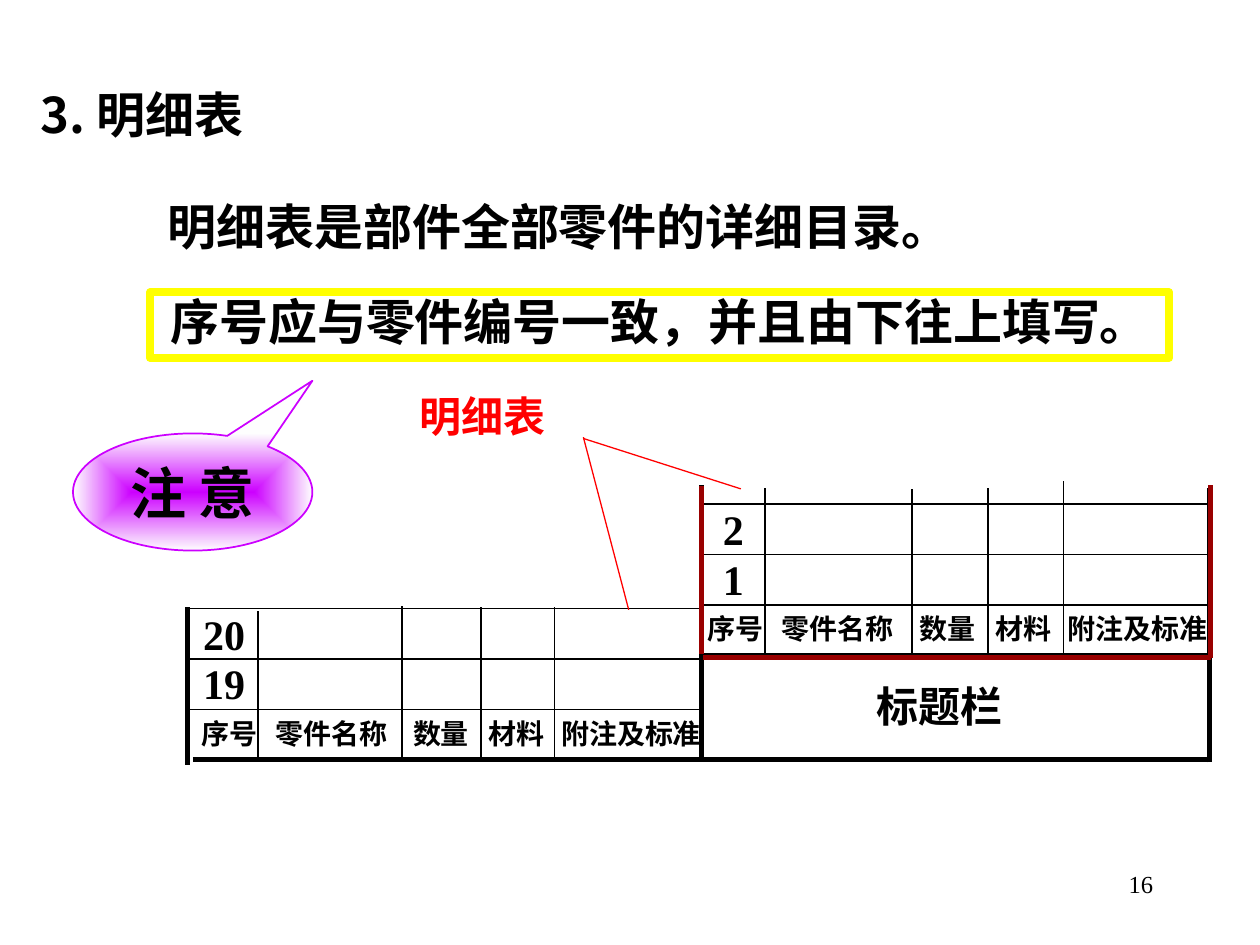
from dataclasses import dataclass

from lxml.etree import SubElement
from pptx import Presentation
from pptx.dml.color import RGBColor
from pptx.enum.shapes import MSO_CONNECTOR, MSO_SHAPE
from pptx.enum.text import MSO_ANCHOR, MSO_AUTO_SIZE, PP_ALIGN
from pptx.oxml import parse_xml
from pptx.oxml.ns import nsdecls, qn
from pptx.util import Inches, Pt

BLACK, RED, MAROON = "000000", "FF0000", "990000"
PURPLE, YELLOW, WHITE, PALE = "CC00FF", "FFFF00", "FFFFFF", "FEFEFE"
SERIF, CJK = "Times New Roman", "Noto Sans CJK SC"
THICK, THIN, HAIR = 3, 1, 0.75
ROW = 0.4
HEADINGS = (("序号", 0.27), ("零件名称", 1.08), ("数量", 1.95),
            ("材料", 2.55), ("附注及标准", 3.46))

Box = tuple[float, float, float, float]


@dataclass(frozen=True)
class Divider:
    x: float
    top: float


@dataclass(frozen=True)
class PartsList:
    """A parts list whose rows are numbered upwards from the heading row."""
    left: float
    right: float
    bottom: float
    heading_left: float
    dividers: tuple[Divider, ...]
    numbers: tuple[str, ...]


@dataclass(frozen=True)
class Rule:
    start: tuple[float, float]
    end: tuple[float, float]
    color: str = BLACK
    width: float = THICK


MAIN_LIST = PartsList(
    5.57, 9.6, 5.2, 5.57,
    (Divider(6.07, 3.87), Divider(7.24, 3.88), Divider(7.84, 3.87), Divider(8.44, 3.82)),
    ("1", "2"))
CONTINUED_LIST = PartsList(
    1.51, 5.57, 6.03, 1.55,
    (Divider(2.05, 4.85), Divider(3.19, 4.81), Divider(3.82, 4.82), Divider(4.4, 4.82)),
    ("19", "20"))

DRAWING_FRAME = (
    Rule((5.57, 3.85), (5.57, 6.05)),
    Rule((5.56, 6.03), (9.6, 6.03)),
    Rule((9.6, 6.05), (9.6, 3.87)),
    Rule((5.57, 5.2), (9.6, 5.2)),
    Rule((1.53, 6.03), (5.55, 6.03)),
    Rule((1.49, 6.07), (1.49, 4.82)),
)
HIGHLIGHT = (
    Rule((5.57, 5.19), (5.57, 3.86), MAROON),
    Rule((5.58, 5.22), (9.61, 5.22), MAROON),
    Rule((9.61, 5.22), (9.61, 3.85), MAROON),
)
LEADERS = (
    Rule((5.88, 3.88), (4.63, 3.48), RED, HAIR),
    Rule((4.99, 4.84), (4.63, 3.47), RED, HAIR),
)


def rgb(color: str) -> RGBColor:
    return RGBColor.from_string(color)


def place(shape, box: Box) -> None:
    shape.left, shape.top, shape.width, shape.height = map(Inches, box)


def write(shape, text: str, size: float, color: str = BLACK, font: str = SERIF,
          align=PP_ALIGN.CENTER, wrap: bool = True, bold: bool = True):
    frame = shape.text_frame
    frame.auto_size = MSO_AUTO_SIZE.NONE
    frame.word_wrap = wrap
    frame.vertical_anchor = MSO_ANCHOR.MIDDLE
    paragraph = frame.paragraphs[0]
    paragraph.alignment = align
    run = paragraph.add_run()
    run.text = text
    run.font.size, run.font.bold, run.font.name = Pt(size), bold, font
    run.font.color.rgb = rgb(color)
    SubElement(run.font._element, qn("a:ea"), typeface=CJK)
    return paragraph


def add_label(slide, text: str, center: tuple[float, float], size: float,
              color: str = BLACK) -> None:
    width, height = 1.3, 0.5
    x, y = center
    label = slide.shapes.add_textbox(
        *map(Inches, (x - width / 2, y - height / 2, width, height)))
    write(label, text, size, color, wrap=False)


def add_rule(slide, rule: Rule) -> None:
    line = slide.shapes.add_connector(
        MSO_CONNECTOR.STRAIGHT, *map(Inches, rule.start + rule.end))
    line.line.color.rgb = rgb(rule.color)
    line.line.width = Pt(rule.width)
    SubElement(line._element.spPr, qn("a:effectLst"))


def add_parts_list(slide, parts: PartsList) -> None:
    for row in range(1, 4):
        y = parts.bottom - row * ROW
        add_rule(slide, Rule((parts.left, y), (parts.right, y), width=THIN))
    for divider in parts.dividers:
        add_rule(slide, Rule((divider.x, parts.bottom), (divider.x, divider.top), width=THIN))
    for heading, offset in HEADINGS:
        add_label(slide, heading, (parts.heading_left + offset, parts.bottom - 0.21), 16)
    number_x = (parts.left + parts.dividers[0].x) / 2
    for row, number in enumerate(parts.numbers):
        add_label(slide, number, (number_x, parts.bottom - 0.61 - row * 0.39), 24)


def add_shape(slide, kind, box: Box, outline: str, width: float):
    shape = slide.shapes.add_shape(kind, *map(Inches, box))
    shape.shadow.inherit = False
    shape.line.color.rgb = rgb(outline)
    shape.line.width = Pt(width)
    return shape


def fill_from_center(shape, inner: str, outer: str) -> None:
    shape.fill.gradient()
    for stop, color in zip(shape.fill.gradient_stops, (inner, outer)):
        stop.color.rgb = rgb(color)
    gradient = shape._element.spPr.find(qn("a:gradFill"))
    gradient.replace(gradient.find(qn("a:lin")), parse_xml(
        f'<a:path {nsdecls("a")} path="rect">'
        '<a:fillToRect l="50000" t="50000" r="50000" b="50000"/></a:path>'))


def add_statement(slide) -> None:
    body = slide.placeholders[1]
    place(body, (0.52, 1.56, 8.85, 0.52))
    paragraph = write(body, "明细表是部件全部零件的详细目录。", 28, align=PP_ALIGN.LEFT)
    paragraph.line_spacing = 0.9
    paragraph.space_before = Pt(0)
    properties = paragraph._p.get_or_add_pPr()
    properties.set("marL", str(Inches(0.71)))
    properties.set("indent", "0")
    SubElement(properties, qn("a:buNone"))


def main() -> None:
    prs = Presentation()
    prs.slide_width, prs.slide_height = Inches(10), Inches(7.5)
    slide = prs.slides.add_slide(prs.slide_layouts[1])

    title = slide.shapes.title
    place(title, (0.22, 0.62, 2.38, 0.57))
    write(title, "3. 明细表", 28, font=CJK, align=PP_ALIGN.LEFT)
    add_statement(slide)

    numbering = add_shape(slide, MSO_SHAPE.RECTANGLE, (1.19, 2.32, 8.09, 0.52), YELLOW, 4.5)
    numbering.fill.solid()
    numbering.fill.fore_color.rgb = rgb(WHITE)
    write(numbering, "序号应与零件编号一致，并且由下往上填写。", 28).line_spacing = 0.9

    notice = add_shape(slide, MSO_SHAPE.OVAL_CALLOUT, (0.58, 3.44, 1.9, 0.93), PURPLE, 1)
    notice.adjustments[0], notice.adjustments[1] = 0.5, -0.95
    fill_from_center(notice, PURPLE, PALE)
    write(notice, "注 意", 32, wrap=False)

    for parts in (MAIN_LIST, CONTINUED_LIST):
        add_parts_list(slide, parts)
    for rule in DRAWING_FRAME + HIGHLIGHT + LEADERS:
        add_rule(slide, rule)
    add_label(slide, "标题栏", (7.46, 5.6), 24)
    add_label(slide, "明细表", (3.83, 3.3), 24, RED)

    page_number = slide.shapes.add_textbox(*map(Inches, (7.17, 6.83, 2.08, 0.36)))
    write(page_number, "16", 14, align=PP_ALIGN.RIGHT, bold=False)

    prs.save("out.pptx")


if __name__ == "__main__":
    main()
